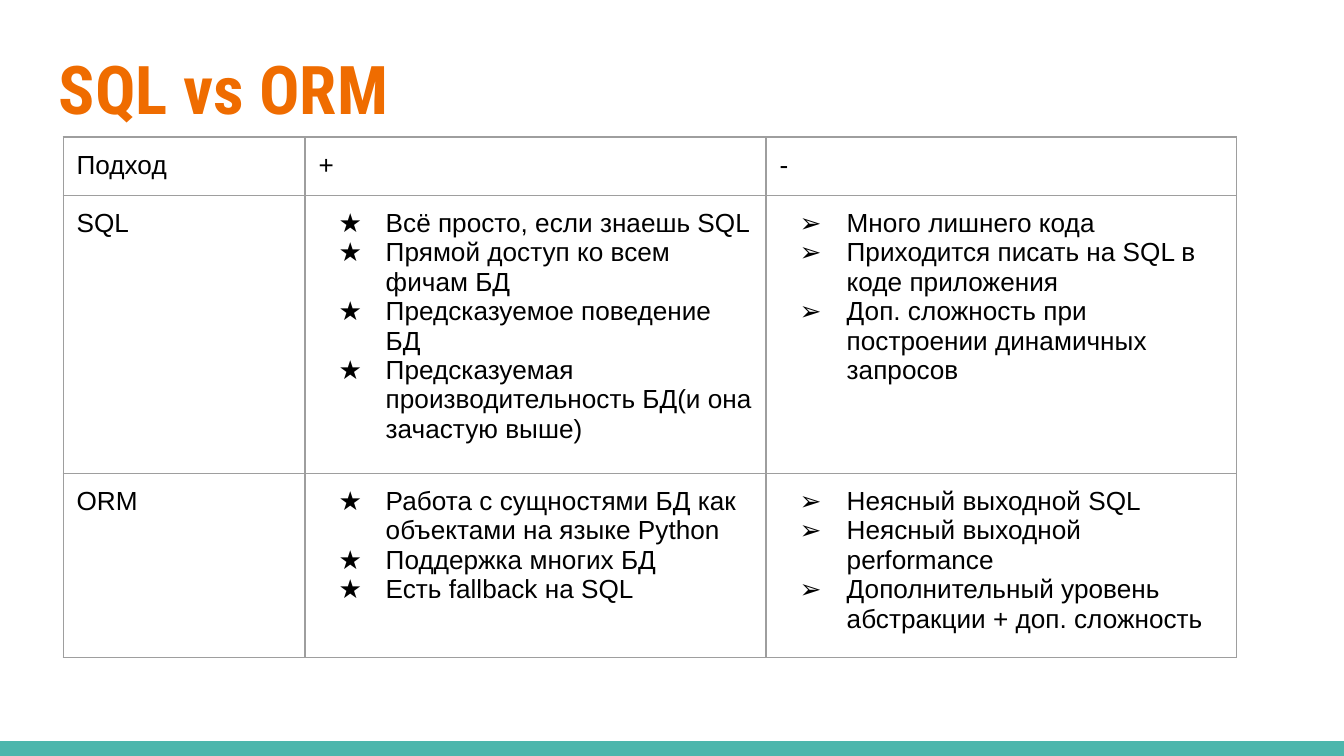
from lxml.etree import SubElement as Sub
from pptx import Presentation
from pptx.dml.color import RGBColor as RGB
from pptx.enum.shapes import MSO_SHAPE as SHAPE
from pptx.enum.text import MSO_ANCHOR as ANCHOR
from pptx.oxml.ns import qn
from pptx.util import Inches, Pt

ORANGE = RGB(0xEF, 0x6C, 0x00)
TEAL = RGB(0x4D, 0xB6, 0xAC)
GRAY = RGB(0x9E, 0x9E, 0x9E)
BLACK = RGB(0, 0, 0)

WIDTH = 10
HEIGHT = WIDTH * 9 / 16
BAR = 0.11
PAD = 0.1
COLS = (1.8, 3.43, 3.5)
ROWS = (0.42, 1.95, 1.29)
MARKS = (None, "★", "➢")
HEAD = ("Подход", "+", "-")
BODY = (
    (
        ["SQL"],
        [
            "Всё просто, если знаешь SQL",
            "Прямой доступ ко всем фичам БД",
            "Предсказуемое поведение БД",
            "Предсказуемая производительность БД(и она зачастую выше)",
        ],
        [
            "Много лишнего кода",
            "Приходится писать на SQL в коде приложения",
            "Доп. сложность при построении динамичных запросов",
        ],
    ),
    (
        ["ORM"],
        [
            "Работа с сущностями БД как объектами на языке Python",
            "Поддержка многих БД",
            "Есть fallback на SQL",
        ],
        [
            "Неясный выходной SQL",
            "Неясный выходной performance",
            "Дополнительный уровень абстракции + доп. сложность",
        ],
    ),
)


def add_mark(para, mark):
    """Give a paragraph a hanging bullet."""
    props = para._p.get_or_add_pPr()
    props.set("marL", str(Inches(0.5)))
    props.set("indent", str(Inches(-0.35)))
    color = Sub(props, qn("a:buClr"))
    Sub(color, qn("a:srgbClr"), val=str(BLACK))
    Sub(props, qn("a:buFont"), typeface="Arial")
    Sub(props, qn("a:buChar"), char=mark)


def write(frame, lines, size=14, font="Arial", color=BLACK, bold=False, mark=None):
    frame.word_wrap = True
    for i, line in enumerate(lines):
        para = frame.paragraphs[0] if i == 0 else frame.add_paragraph()
        if mark:
            add_mark(para, mark)
        run = para.add_run()
        run.text = line
        run.font.size = Pt(size)
        run.font.name = font
        run.font.bold = bold
        run.font.color.rgb = color


def set_pad(box):
    """Set equal margins on a cell or a text frame."""
    box.margin_left = box.margin_right = Inches(PAD)
    box.margin_top = box.margin_bottom = Inches(PAD)


def add_edges(cell):
    props = cell._tc.get_or_add_tcPr()
    for side in ("lnL", "lnR", "lnT", "lnB"):
        line = Sub(props, qn(f"a:{side}"), w=str(Pt(0.75)))
        fill = Sub(line, qn("a:solidFill"))
        Sub(fill, qn("a:srgbClr"), val=str(GRAY))


def add_footer(slide, x, y, w, h):
    bar = slide.shapes.add_shape(SHAPE.RECTANGLE, Inches(x), Inches(y), Inches(w), Inches(h))
    bar.shadow.inherit = False
    bar.fill.solid()
    bar.fill.fore_color.rgb = TEAL
    bar.line.fill.background()


def add_title(slide, x, y, w, h):
    box = slide.shapes.add_textbox(Inches(x), Inches(y), Inches(w), Inches(h))
    frame = box.text_frame
    set_pad(frame)
    frame.vertical_anchor = ANCHOR.TOP
    write(frame, ["SQL vs ORM"], size=36, font="Roboto Condensed", color=ORANGE, bold=True)


def add_grid(slide, x, y):
    """Add the table that compares the two approaches."""
    rows = [[[head] for head in HEAD], *BODY]
    table = slide.shapes.add_table(
        len(ROWS), len(COLS), Inches(x), Inches(y), Inches(sum(COLS)), Inches(sum(ROWS))
    ).table
    table.first_row = table.horz_banding = False
    for col, width in zip(table.columns, COLS):
        col.width = Inches(width)
    for r, row in enumerate(rows):
        table.rows[r].height = Inches(ROWS[r])
        for c, lines in enumerate(row):
            cell = table.cell(r, c)
            set_pad(cell)
            add_edges(cell)
            cell.fill.background()
            write(cell.text_frame, lines, mark=MARKS[c] if r else None)


def main():
    deck = Presentation()
    deck.slide_width, deck.slide_height = Inches(WIDTH), Inches(HEIGHT)
    slide = deck.slides.add_slide(deck.slide_layouts[6])
    add_footer(slide, 0, HEIGHT - BAR, WIDTH, BAR)
    add_title(slide, 0.34, 0.25, 9.32, 0.77)
    add_grid(slide, 0.47, 1.02)
    deck.save("out.pptx")


if __name__ == "__main__":
    main()
